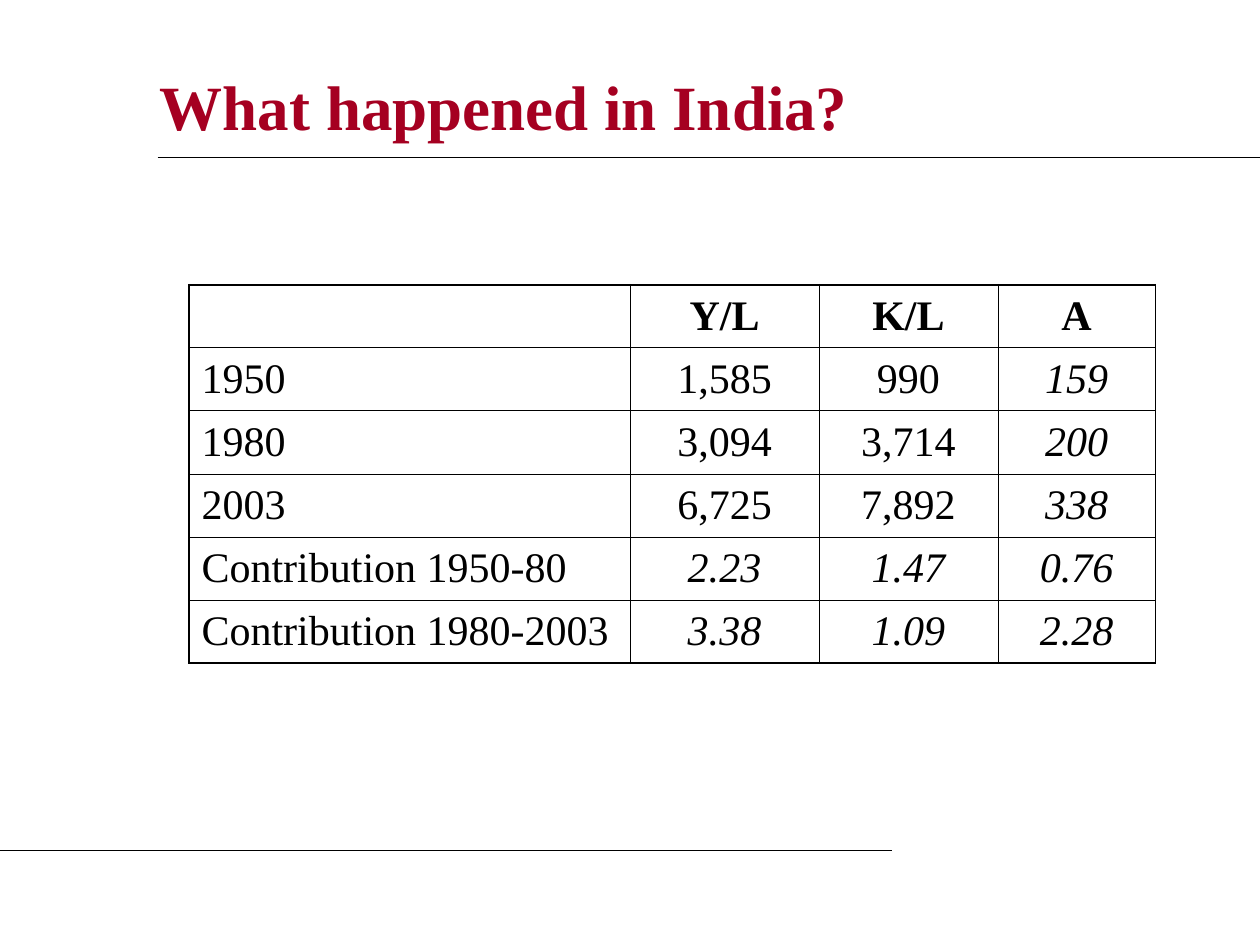
from lxml.etree import SubElement
from pptx import Presentation
from pptx.dml.color import RGBColor
from pptx.enum.shapes import MSO_CONNECTOR as Connector
from pptx.enum.text import MSO_ANCHOR as Anchor, PP_ALIGN as Align
from pptx.oxml.ns import qn
from pptx.util import Inches, Pt

COLORS = {"title": "A50021", "ink": "000000"}
FONT = "Times New Roman"
WIDTH, HEIGHT = 10, 7.5
THIN, THICK = 0.45, 1.08

COLUMNS = [3.5, 1.5, 1.42, 1.25]
ROW_HEIGHT = 0.5
ROWS = [
    ["", "Y/L", "K/L", "A"],
    ["1950", "1,585", "990", "159"],
    ["1980", "3,094", "3,714", "200"],
    ["2003", "6,725", "7,892", "338"],
    ["Contribution 1950-80", "2.23", "1.47", "0.76"],
    ["Contribution 1980-2003", "3.38", "1.09", "2.28"],
]


def add_span(para, text, size, color, bold=False, italic=False):
    span = para.add_run()
    span.text = text
    font = span.font
    font.name, font.size = FONT, Pt(size)
    font.bold, font.italic = bold, italic
    font.color.rgb = RGBColor.from_string(COLORS[color])


def add_title(page, text):
    box = page.shapes.add_textbox(Inches(1.17), Inches(0.25), Inches(8.5), Inches(1.17))
    frame = box.text_frame
    frame.word_wrap = True
    frame.vertical_anchor = Anchor.MIDDLE
    add_span(frame.paragraphs[0], text, 36, "title", bold=True)


def add_rule(page, start, end, level):
    """Draw a horizontal rule; all three values are shares of the slide."""
    y = Inches(HEIGHT * level)
    rule = page.shapes.add_connector(
        Connector.STRAIGHT, Inches(WIDTH * start), y, Inches(WIDTH * end), y)
    rule.line.width = Pt(0.75)
    rule.line.color.rgb = RGBColor.from_string(COLORS["ink"])
    SubElement(rule._element.spPr, qn("a:effectLst"))


def add_borders(cell, row, column):
    """Thick lines on the outer edge of the table, thin ones inside."""
    outer = {
        "L": column == 0,
        "R": column == len(COLUMNS) - 1,
        "T": row == 0,
        "B": row == len(ROWS) - 1,
    }
    properties = cell._tc.get_or_add_tcPr()
    for side, is_outer in outer.items():
        width = Pt(THICK if is_outer else THIN)
        line = SubElement(properties, qn(f"a:ln{side}"), w=str(width))
        fill = SubElement(line, qn("a:solidFill"))
        SubElement(fill, qn("a:srgbClr"), val=COLORS["ink"])


def fill_cell(cell, text, row, column):
    add_borders(cell, row, column)
    cell.fill.background()
    cell.vertical_anchor = Anchor.MIDDLE
    if not text:
        return
    para = cell.text_frame.paragraphs[0]
    para.alignment = Align.CENTER if column else Align.LEFT
    # Derived figures are italic: column A and the contribution rows
    derived = row > 0 and (column == 3 or (column > 0 and row > 3))
    add_span(para, text, 24, "ink", bold=row == 0, italic=derived)


def add_data_table(page, left, top):
    frame = page.shapes.add_table(
        len(ROWS), len(COLUMNS), Inches(left), Inches(top),
        Inches(sum(COLUMNS)), Inches(ROW_HEIGHT * len(ROWS)))
    table = frame.table
    table.first_row = table.horz_banding = False
    for column, width in zip(table.columns, COLUMNS):
        column.width = Inches(width)
    for row, values in enumerate(ROWS):
        table.rows[row].height = Inches(ROW_HEIGHT)
        for column, text in enumerate(values):
            fill_cell(table.cell(row, column), text, row, column)


def main():
    deck = Presentation()
    deck.slide_width, deck.slide_height = Inches(WIDTH), Inches(HEIGHT)
    page = deck.slides.add_slide(deck.slide_layouts[6])

    # Heading, with the rules below it and at the foot
    add_title(page, "What happened in India?")
    add_rule(page, 1 / 8, 1, 1 / 6)
    add_rule(page, 0, 17 / 24, 0.9)

    # Growth accounting figures
    add_data_table(page, 1.5, 2.26)

    deck.save("out.pptx")


if __name__ == "__main__":
    main()
